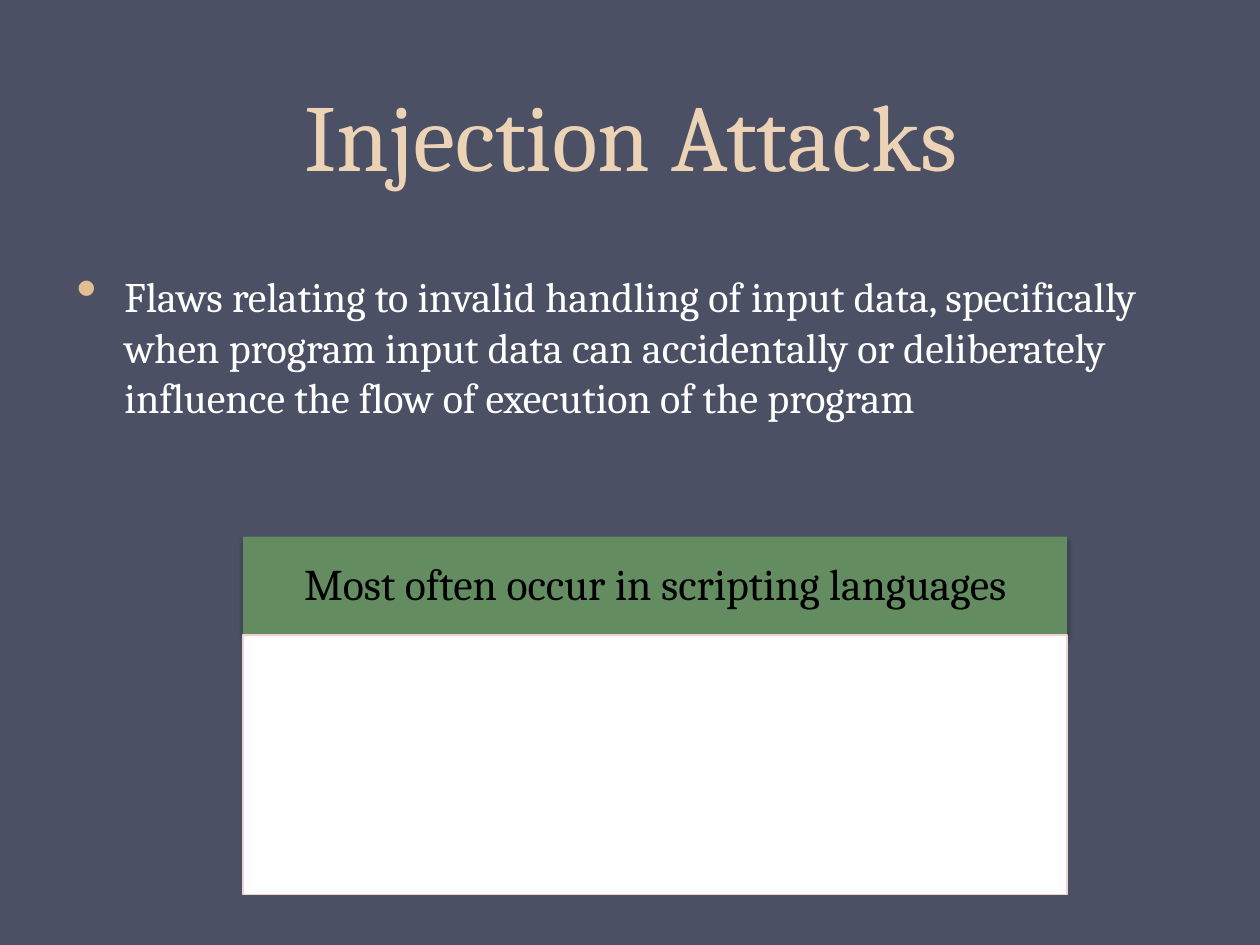
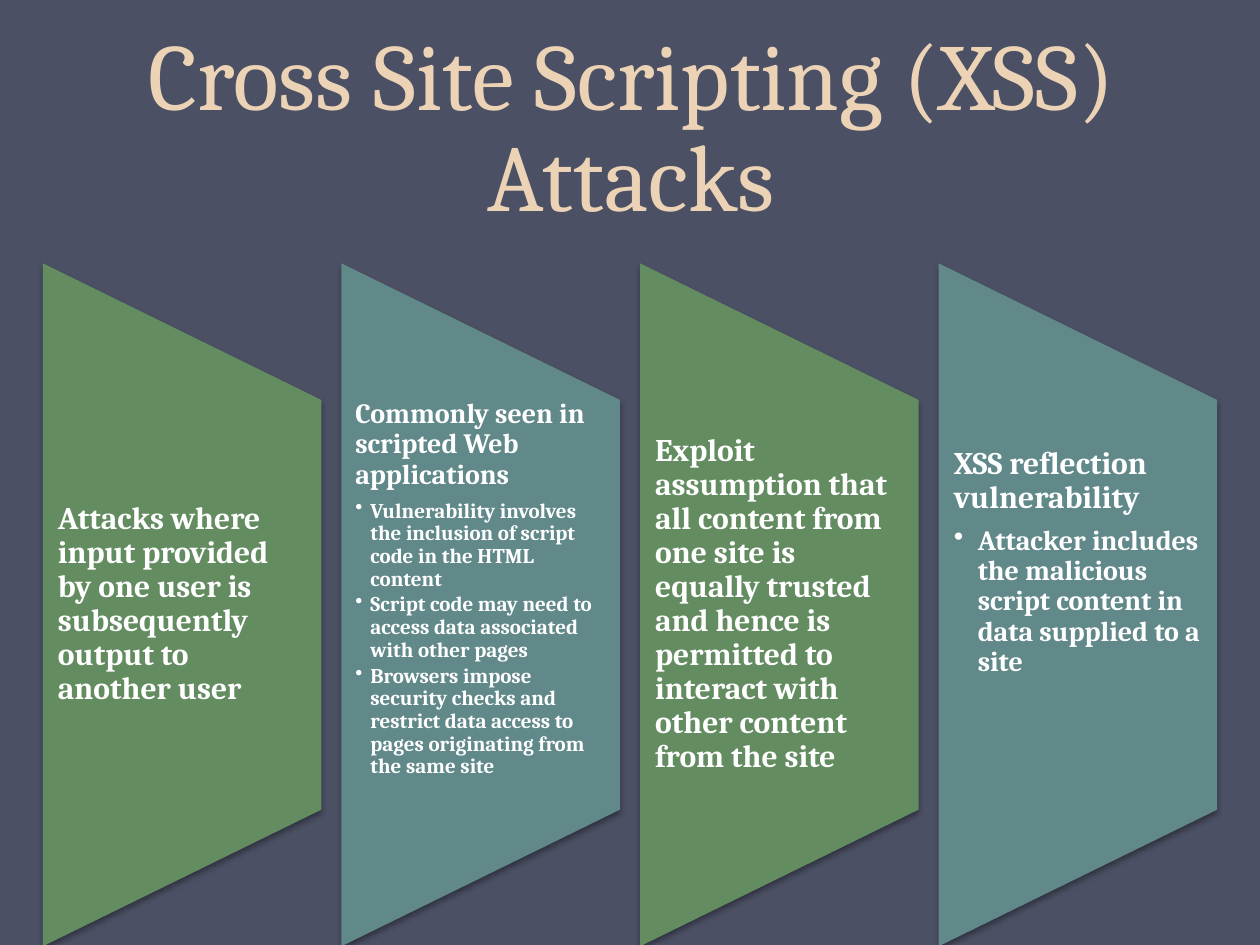
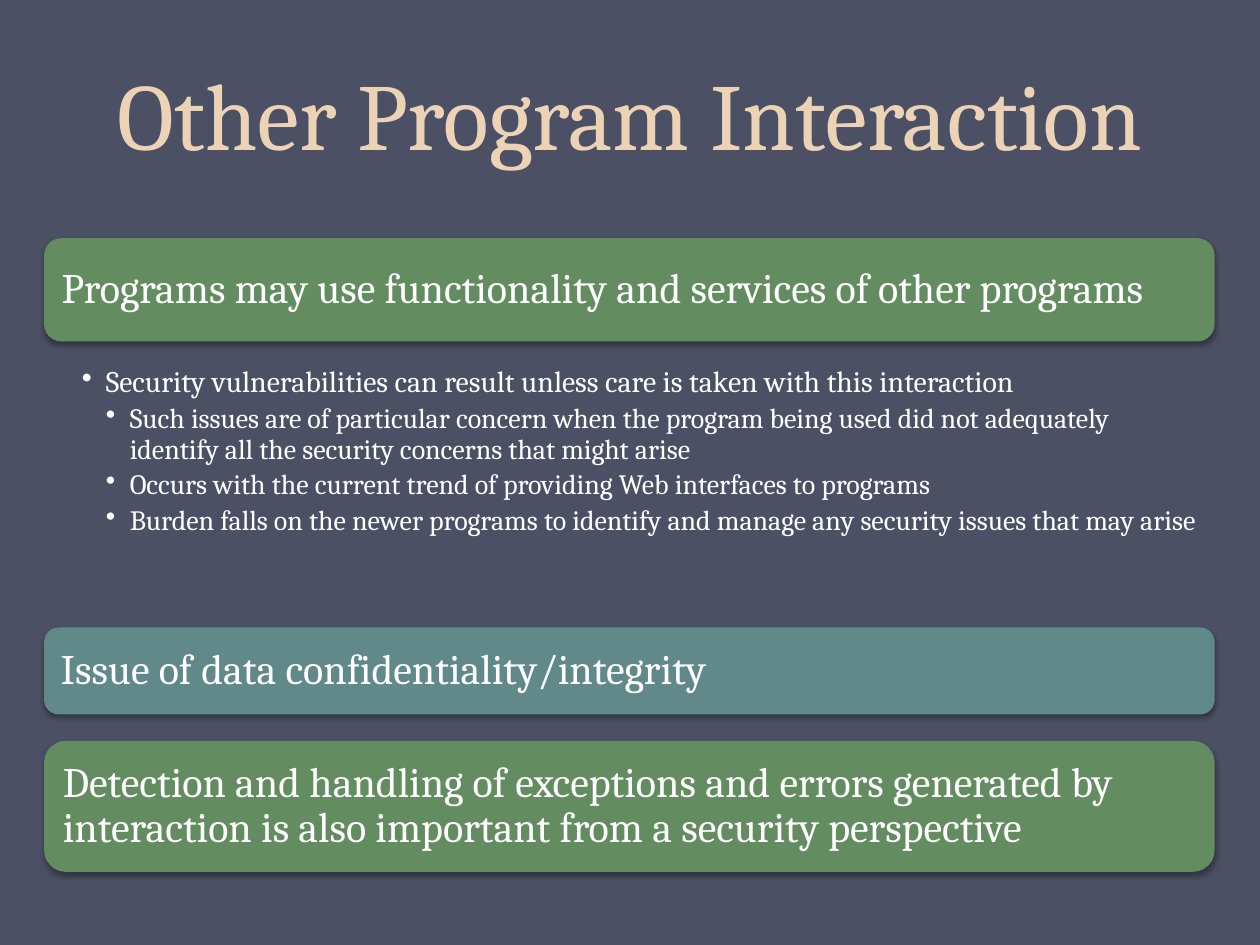
from dataclasses import dataclass
from typing import Optional

from lxml.etree import SubElement
from pptx import Presentation
from pptx.dml.color import RGBColor
from pptx.enum.shapes import MSO_SHAPE as Preset
from pptx.enum.text import MSO_ANCHOR as Anchor, PP_ALIGN as Align
from pptx.oxml.ns import qn
from pptx.util import Inches, Pt

FONT = "Cambria"
SLATE, SAND, PEACH = "4B5064", "EDD3B6", "E3BC92"
GREEN, TEAL, WHITE, BLACK = "648C61", "61898A", "FFFFFF", "000000"
PALE_ROSE = "EED3D0"


@dataclass(frozen=True)
class Area:
    left: float
    top: float
    width: float
    height: float

    def lengths(self) -> tuple:
        return tuple(Inches(v) for v in (self.left, self.top, self.width, self.height))


@dataclass(frozen=True)
class Panel:
    color: str
    heading: str
    size: int = 18
    points: tuple[str, ...] = ()
    point_size: int = 12
    indent: float = 0.12
    top: float = 3.17
    anchor: Anchor = Anchor.MIDDLE


@dataclass(frozen=True)
class Bar:
    color: str
    top: float
    height: float
    text: str


def rgb(color: str) -> RGBColor:
    return RGBColor.from_string(color)


def prepare_frame(shape, anchor=Anchor.TOP, margins=(0.1, 0.05)):
    frame = shape.text_frame
    frame.word_wrap = True
    frame.vertical_anchor = anchor
    across, down = margins
    frame.margin_left = frame.margin_right = Inches(across)
    frame.margin_top = frame.margin_bottom = Inches(down)
    return frame


def add_text(frame, text: str, *, size: float, color: str = WHITE, bold: bool = False,
             align=Align.LEFT, spacing=0.9, after: float = 0.35, level: int = 0,
             hanging: float = 0, left: Optional[float] = None,
             bullet_color: Optional[str] = None, bullet_size: int = 100) -> None:
    first = frame.paragraphs[0]
    para = frame.add_paragraph() if first.runs else first
    para.level = level
    if hanging:
        properties = para._p.get_or_add_pPr()
        properties.set("marL", str(Inches(hanging if left is None else left)))
        properties.set("indent", str(-Inches(hanging)))
        if bullet_color:
            tint = SubElement(properties, qn("a:buClr"))
            SubElement(tint, qn("a:srgbClr"), val=bullet_color)
        SubElement(properties, qn("a:buSzPct"), val=str(bullet_size * 1000))
        SubElement(properties, qn("a:buChar"), char="•")
    para.alignment = align
    para.line_spacing = spacing
    para.space_after = Pt(round(size * after, 1))
    span = para.add_run()
    span.text = text
    span.font.name = FONT
    span.font.size = Pt(size)
    span.font.bold = bold
    span.font.color.rgb = rgb(color)


def add_box(page, area: Area, **layout):
    return prepare_frame(page.shapes.add_textbox(*area.lengths()), **layout)


def add_block(page, preset, area: Area, color: str, shadow: bool = True):
    shape = page.shapes.add_shape(preset, *area.lengths())
    shape.fill.solid()
    shape.fill.fore_color.rgb = rgb(color)
    shape.line.fill.background()
    shape.shadow.inherit = False
    if shadow:
        effects = shape._element.spPr.find(qn("a:effectLst"))
        outer = SubElement(effects, qn("a:outerShdw"), blurRad=str(Pt(3.1)),
                           dist=str(Pt(1.8)), dir="5400000", rotWithShape="0")
        tint = SubElement(outer, qn("a:srgbClr"), val=BLACK)
        SubElement(tint, qn("a:alpha"), val="35000")
    return shape


def add_page(deck, title: str, title_area: Area):
    page = deck.slides.add_slide(deck.slide_layouts[6])
    page.background.fill.solid()
    page.background.fill.fore_color.rgb = rgb(SLATE)
    frame = add_box(page, title_area, anchor=Anchor.BOTTOM)
    add_text(frame, title, size=54, color=SAND, align=Align.CENTER, spacing=Pt(58), after=0)
    return page


def injection_page(deck) -> None:
    page = add_page(deck, "Injection Attacks", Area(0.51, -0.19, 9, 1.75))
    add_text(add_box(page, Area(0.51, 2.1, 9, 2.25)),
             "Flaws relating to invalid handling of input data, specifically when program "
             "input data can accidentally or deliberately influence the flow of execution "
             "of the program",
             size=24, spacing=1.0, after=0, hanging=0.38,
             bullet_color=PEACH, bullet_size=140)
    header = add_block(page, Preset.RECTANGLE, Area(1.93, 4.26, 6.54, 0.79), GREEN)
    add_text(prepare_frame(header, Anchor.MIDDLE, (0.19, 0.11)),
             "Most often occur in scripting languages",
             size=25, color=BLACK, align=Align.CENTER, after=0)
    body = add_block(page, Preset.RECTANGLE, Area(1.93, 5.04, 6.54, 2.06), WHITE, shadow=False)
    body.line.color.rgb = rgb(PALE_ROSE)
    body.line.width = Pt(0.75)


PANELS = (
    Panel(GREEN, "Attacks where input provided by one user is subsequently output to "
                 "another user"),
    Panel(TEAL, "Commonly seen in scripted Web applications", size=16, anchor=Anchor.TOP,
          points=("Vulnerability involves the inclusion of script code in the HTML content",
                  "Script code may need to access data associated with other pages",
                  "Browsers impose security checks and restrict data access to pages "
                  "originating from the same site")),
    Panel(GREEN, "Exploit assumption that all content from one site is equally trusted and "
                 "hence is permitted to interact with other content from the site"),
    Panel(TEAL, "XSS reflection vulnerability", anchor=Anchor.TOP, top=3.55,
          points=("Attacker includes the malicious script content in data supplied to a site",),
          point_size=16, indent=0.19),
)


def scripting_page(deck) -> None:
    page = add_page(deck, "Cross Site Scripting (XSS) Attacks", Area(0.51, 0.13, 9, 1.75))
    first_left, pitch, width, length, middle = 0.34, 2.37, 2.21, 5.42, 4.79
    text_bottom = 6.42
    for index, panel in enumerate(PANELS):
        left = first_left + index * pitch
        area = Area(left + (width - length) / 2, middle - width / 2 + 0.01, length, width)
        block = add_block(page, Preset.FLOWCHART_MANUAL_OPERATION, area, panel.color)
        block.rotation = 270
        frame = add_box(page, Area(left, panel.top, width, text_bottom - panel.top),
                        anchor=panel.anchor, margins=(0.12 if panel.size == 18 else 0.11, 0))
        add_text(frame, panel.heading, size=panel.size, bold=True,
                 after=0.35 if panel.points else 0)
        for point in panel.points:
            add_text(frame, point, size=panel.point_size, bold=True, after=0.15,
                     level=1, hanging=panel.indent)


BARS = (
    Bar(GREEN, 1.89, 0.82, "Programs may use functionality and services of other programs"),
    Bar(TEAL, 4.98, 0.69, "Issue of data confidentiality/integrity"),
    Bar(GREEN, 5.88, 1.04, "Detection and handling of exceptions and errors generated by "
                           "interaction is also important from a security perspective"),
)
CONCERNS = (
    "Such issues are of particular concern when the program being used did not adequately "
    "identify all the security concerns that might arise",
    "Occurs with the current trend of providing Web interfaces to programs",
    "Burden falls on the newer programs to identify and manage any security issues that "
    "may arise",
)


def interaction_page(deck) -> None:
    page = add_page(deck, "Other Program Interaction", Area(0, 0, 10, 1.39))
    left, width = 0.35, 9.29
    for bar in BARS:
        block = add_block(page, Preset.ROUNDED_RECTANGLE,
                          Area(left, bar.top, width, bar.height), bar.color)
        add_text(prepare_frame(block, Anchor.MIDDLE, (0.1, 0.1)), bar.text, size=24, after=0)
    frame = add_box(page, Area(left, 2.89, width, 2.09), margins=(0.12, 0.02))
    frame.margin_left = Inches(0.3)
    add_text(frame, "Security vulnerabilities can result unless care is taken with this "
                    "interaction", size=17, after=0.2, level=1, hanging=0.19)
    for concern in CONCERNS:
        add_text(frame, concern, size=16, after=0.2, level=2, hanging=0.19, left=0.38)


def main() -> None:
    deck = Presentation()
    deck.slide_width, deck.slide_height = Inches(10), Inches(7.5)
    injection_page(deck)
    scripting_page(deck)
    interaction_page(deck)
    deck.save("out.pptx")


if __name__ == "__main__":
    main()
